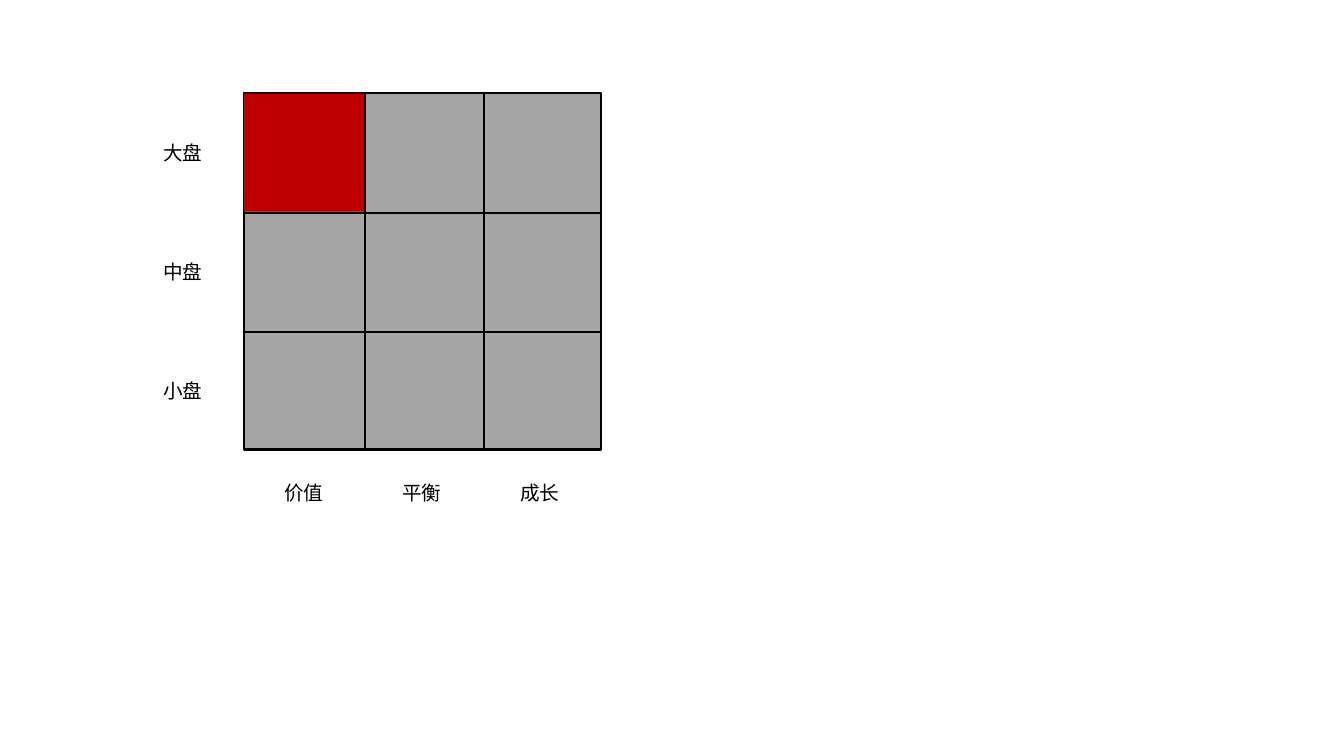
from dataclasses import dataclass

from lxml.etree import SubElement
from pptx import Presentation
from pptx.dml.color import RGBColor
from pptx.enum.shapes import MSO_CONNECTOR as CONN, MSO_SHAPE as SHAPE
from pptx.enum.text import MSO_AUTO_SIZE as AUTO
from pptx.oxml.ns import qn
from pptx.util import Inches, Pt


@dataclass(frozen=True)
class Theme:
    """Colours, font and sizes of the slide."""
    ink: RGBColor = RGBColor(0, 0, 0)
    cell: RGBColor = RGBColor(0xA5, 0xA5, 0xA5)
    active: RGBColor = RGBColor(0xC0, 0, 0)
    font: str = "Noto Sans CJK SC"
    label: Pt = Pt(14)
    rule: Pt = Pt(1.5)


@dataclass(frozen=True)
class Box:
    """A filled rectangle, in inches."""
    left: float
    top: float
    width: float
    height: float
    fill: RGBColor
    outlined: bool = False


@dataclass(frozen=True)
class Label:
    """An axis label and its top left corner, in inches."""
    text: str
    left: float
    top: float


THEME = Theme()
LEFT, TOP, SIDE = 2.42, 0.92, 3.54
CELL = SIDE / 3
RULE_LEFT, RULE_TOP = 2.44, 0.93
LABEL_STEP = 1.17
SIZES = ("大盘", "中盘", "小盘")
STYLES = ("价值", "平衡", "成长")


def add_box(slide, box: Box) -> None:
    """Draw a rectangle, with an outline if it asks for one."""
    sp = slide.shapes.add_shape(SHAPE.RECTANGLE, Inches(box.left), Inches(box.top),
                                Inches(box.width), Inches(box.height))
    sp.shadow.inherit = False
    sp.fill.solid()
    sp.fill.fore_color.rgb = box.fill
    if box.outlined:
        sp.line.color.rgb = THEME.ink
        sp.line.width = THEME.rule
    else:
        sp.line.fill.background()


def add_rule(slide, x1: float, y1: float, x2: float, y2: float) -> None:
    """Draw a grid line without a shadow."""
    line = slide.shapes.add_connector(CONN.STRAIGHT, Inches(x1), Inches(y1),
                                      Inches(x2), Inches(y2))
    line.line.color.rgb = THEME.ink
    line.line.width = THEME.rule
    SubElement(line._element.spPr, qn("a:effectLst"))


def add_label(slide, label: Label) -> None:
    """Write an axis label in the Latin and East Asian font."""
    sp = slide.shapes.add_textbox(Inches(label.left), Inches(label.top),
                                  Inches(0.59), Inches(0.34))
    tf = sp.text_frame
    for name, value in {"word_wrap": False, "auto_size": AUTO.SHAPE_TO_FIT_TEXT}.items():
        setattr(tf, name, value)
    r = tf.paragraphs[0].add_run()
    r.text = label.text
    r.font.color.rgb = THEME.ink
    for name, value in {"size": THEME.label, "name": THEME.font}.items():
        setattr(r.font, name, value)
    SubElement(r._r.get_or_add_rPr(), qn("a:ea"), typeface=THEME.font)


def main() -> None:
    """Build the style box slide and save it."""
    prs = Presentation()
    prs.slide_width, prs.slide_height = Inches(13.33), Inches(7.5)
    slide = prs.slides.add_slide(prs.slide_layouts[6])

    add_box(slide, Box(LEFT, TOP, SIDE, SIDE, THEME.cell, outlined=True))
    add_box(slide, Box(LEFT, RULE_TOP, 1.19, 1.17, THEME.active))
    for i in (1, 2):
        y = RULE_TOP + i * CELL
        add_rule(slide, LEFT, y, LEFT + SIDE, y)
    for i in (1, 2):
        x = RULE_LEFT + i * CELL
        add_rule(slide, x, TOP, x, TOP + SIDE)

    rows = [Label(text, 1.52, 1.35 + i * CELL) for i, text in enumerate(SIZES)]
    columns = [Label(text, 2.72 + i * LABEL_STEP, 4.72) for i, text in enumerate(STYLES)]
    for label in rows + columns:
        add_label(slide, label)

    prs.save("out.pptx")


main()
